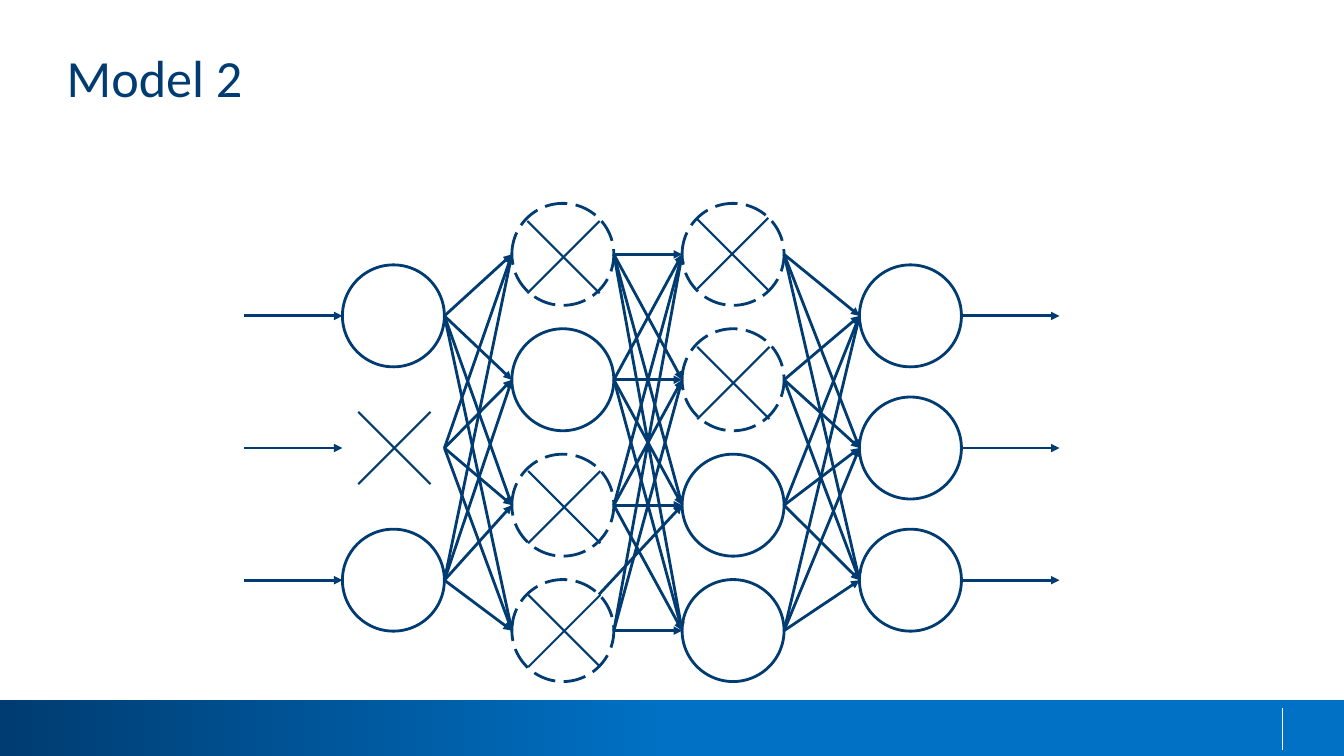
import math

import pptx
import pptx.dml.color
import pptx.enum.dml
import pptx.enum.shapes
import pptx.enum.text
import pptx.oxml
import pptx.oxml.ns
import pptx.util

Cm, Pt = pptx.util.Cm, pptx.util.Pt
RGB = pptx.dml.color.RGBColor.from_string
KIND = pptx.enum.shapes.MSO_SHAPE
NS = pptx.oxml.ns.nsdecls("a")
HUES = {"navy": "003C71", "blue": "0071C5", "white": "FFFFFF"}


def write(shape, text, size, hue, font="Calibri"):
    """Fill a shape with left-aligned text at its top, without insets."""
    frame = shape.text_frame
    frame.margin_left = frame.margin_right = 0
    frame.margin_top = frame.margin_bottom = 0
    frame.word_wrap = True
    frame.auto_size = pptx.enum.text.MSO_AUTO_SIZE.NONE
    frame.vertical_anchor = pptx.enum.text.MSO_ANCHOR.TOP
    para = frame.paragraphs[0]
    para.alignment = pptx.enum.text.PP_ALIGN.LEFT
    run = para.add_run()
    run.text = text
    run.font.name, run.font.size = font, Pt(size)
    run.font.color.rgb = RGB(HUES[hue])


def draw(x1, y1, x2, y2, width=2, hue="navy", arrow=True):
    """Draw a straight line in centimetres, with an arrowhead at its end."""
    line = slide.shapes.add_connector(
        pptx.enum.shapes.MSO_CONNECTOR.STRAIGHT, Cm(x1), Cm(y1), Cm(x2), Cm(y2))
    line.line.width = Pt(width)
    line.line.color.rgb = RGB(HUES[hue])
    if arrow:
        line.line._get_or_add_ln().append(
            pptx.oxml.parse_xml(f'<a:tailEnd {NS} type="triangle"/>'))
    line._element.spPr.append(pptx.oxml.parse_xml(f"<a:effectLst {NS}/>"))


deck = pptx.Presentation()
deck.slide_width, deck.slide_height = Cm(33.87), Cm(19.05)
slide = deck.slides.add_slide(deck.slide_layouts[5])

# Footer band
bar = slide.shapes.add_shape(KIND.RECTANGLE, 0, Cm(17.64), Cm(33.87), Cm(1.41))
bar.shadow.inherit = False
bar.line.fill.background()
bar.fill.gradient()
bar.fill.gradient_angle = 0
for stop, place, hue in zip(bar.fill.gradient_stops, (0, 0.5), ("navy", "blue")):
    stop.position = place
    stop.color.rgb = RGB(HUES[hue])
draw(32.33, 17.83, 32.33, 18.9, width=0.75, hue="white", arrow=False)

# Title
title = slide.shapes.title
title.left, title.top, title.width, title.height = Cm(1.68), Cm(1.14), Cm(30.48), Cm(3.23)
write(title, "Model 2", size=37.3, hue="navy")

# Network: left edge of each layer, centre height of each row
SIZE = 2.57
outer = [7.96 + 3.33 * i for i in range(3)]
inner = [6.41 + 3.16 * i for i in range(4)]
layers = [(8.63, outer), (12.9, inner), (17.19, inner), (21.66, outer)]

# Dropped nodes (layer, row) and the centre of the cross on each
dropped = {
    (1, 0): (14.2, 6.48), (2, 0): (18.45, 6.4), (2, 1): (18.48, 9.65),
    (1, 2): (14.22, 12.78), (1, 3): (14.22, 15.9), (0, 1): (9.94, 11.29),
}

for col, (left, rows) in enumerate(layers):
    for row, mid in enumerate(rows):
        if (col, row) == (0, 1):  # the dropped input has no circle
            continue
        node = slide.shapes.add_shape(
            KIND.OVAL, Cm(left), Cm(mid - SIZE / 2), Cm(SIZE), Cm(SIZE))
        node.shadow.inherit = False
        node.fill.solid()
        node.fill.fore_color.rgb = RGB(HUES["white"])
        node.line.color.rgb = RGB(HUES["navy"])
        node.line.width = Pt(2)
        if (col, row) in dropped:
            node.line.dash_style = pptx.enum.dml.MSO_LINE.LONG_DASH

# Links between neighbouring layers
slant = SIZE / 2 * math.sqrt(0.5)
for col, ((left, rows), (goal, ends)) in enumerate(zip(layers, layers[1:])):
    for row, mid in enumerate(rows):
        for end, high in enumerate(ends):
            x, y = left + SIZE, mid
            if (col, row, end) == (1, 3, 2):  # leaves at the upper right
                x, y = left + SIZE / 2 + slant, mid - slant
            draw(x, y, goal, high)

# Inputs and outputs
for mid in outer:
    draw(6.15, mid, layers[0][0], mid)
    draw(layers[-1][0] + SIZE, mid, 26.7, mid)

# Crosses
HALF = 0.91
for x, y in dropped.values():
    for rise in (HALF, -HALF):
        draw(x - HALF, y - rise, x + HALF, y + rise, width=1.5, arrow=False)

deck.save("out.pptx")
